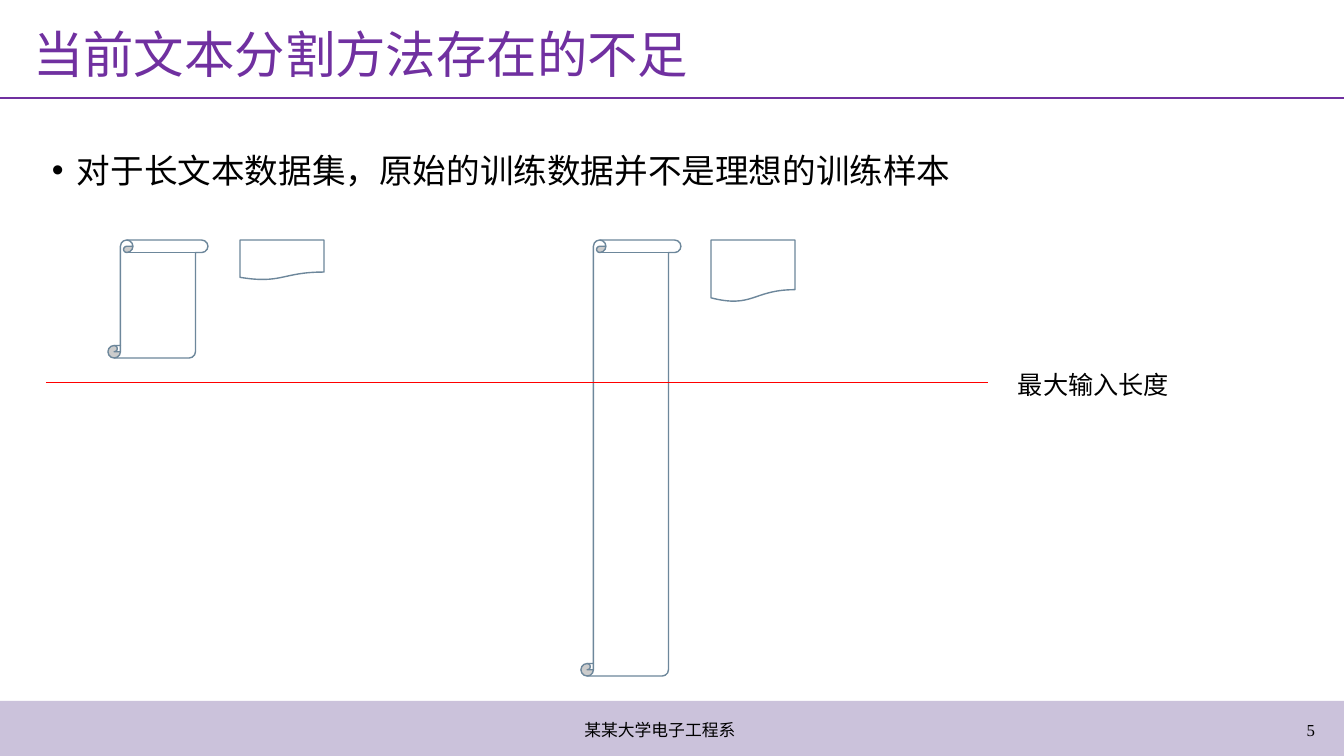
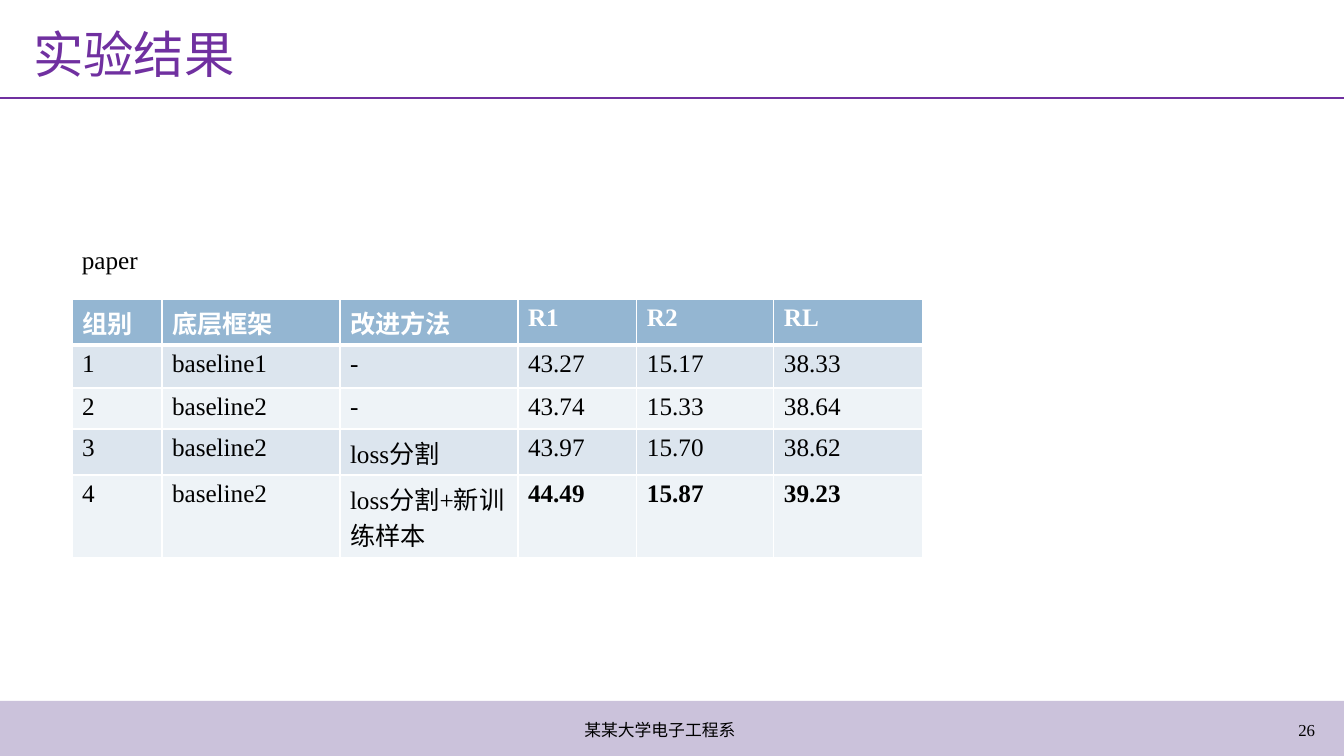
"""Build two slides on text splitting: the problem and the results."""
from lxml import etree
from pptx import Presentation
from pptx.dml.color import RGBColor
from pptx.enum.lang import MSO_LANGUAGE_ID
from pptx.enum.shapes import MSO_CONNECTOR, MSO_SHAPE
from pptx.enum.text import MSO_ANCHOR, PP_ALIGN
from pptx.oxml.ns import qn
from pptx.util import Pt

PX = 914400 / 100.8
WIDTH, HEIGHT = 1344, 756
FONT = "Times New Roman"

PURPLE = RGBColor(0x70, 0x30, 0xA0)
BAND = RGBColor(0x73, 0x5B, 0x9F)
OUTLINE = RGBColor(0x6D, 0x87, 0x9B)
RED = RGBColor(0xFF, 0x00, 0x00)
BLACK = RGBColor(0x00, 0x00, 0x00)
WHITE = RGBColor(0xFF, 0xFF, 0xFF)
HEADER = RGBColor(0x94, 0xB6, 0xD2)
ROW_FILLS = (RGBColor(0xDC, 0xE5, 0xEE), RGBColor(0xEE, 0xF3, 0xF7))

LEFT, CENTER, RIGHT = PP_ALIGN.LEFT, PP_ALIGN.CENTER, PP_ALIGN.RIGHT
TOP, MIDDLE = MSO_ANCHOR.TOP, MSO_ANCHOR.MIDDLE
CHINESE = MSO_LANGUAGE_ID.SIMPLIFIED_CHINESE
RECTANGLE = MSO_SHAPE.RECTANGLE
SCROLL, DOCUMENT = MSO_SHAPE.VERTICAL_SCROLL, MSO_SHAPE.FLOWCHART_DOCUMENT
STRAIGHT = MSO_CONNECTOR.STRAIGHT

FOOTER = "某某大学电子工程系"
PROBLEM = {
    "title": "当前文本分割方法存在的不足",
    "number": "5",
    "point": "对于长文本数据集，原始的训练数据并不是理想的训练样本",
    "limit": "最大输入长度",
}
PAPERS_TOP = 240
PAPERS = [
    (SCROLL, 108, 100, 118),
    (DOCUMENT, 240, 84, 40),
    (SCROLL, 581, 100, 436),
    (DOCUMENT, 711, 84, 62),
]
RESULTS = {
    "title": "实验结果",
    "number": "26",
    "dataset": "paper",
    "rows": [
        ("组别", "底层框架", "改进方法", "R1", "R2", "RL"),
        ("1", "baseline1", "-", "43.27", "15.17", "38.33"),
        ("2", "baseline2", "-", "43.74", "15.33", "38.64"),
        ("3", "baseline2", "loss分割", "43.97", "15.70", "38.62"),
        ("4", "baseline2", "loss分割+新训练样本", "44.49", "15.87", "39.23"),
    ],
}
COLUMN_WIDTHS = (90, 178, 178, 119, 137, 149)
ROW_HEIGHTS = (46, 43, 41, 46, 83)
FIRST_SCORE = 3


def px(*lengths):
    return [round(length * PX) for length in lengths]


def write(holder, text, size=18, color=BLACK, bold=False, align=LEFT,
          anchor=TOP, spacing=None, before=None):
    frame = holder.text_frame
    frame.word_wrap = True
    frame.vertical_anchor = anchor
    paragraph = frame.paragraphs[0]
    paragraph.alignment = align
    if spacing:
        paragraph.line_spacing = spacing
    if before:
        paragraph.space_before = Pt(before)
    run = paragraph.add_run()
    run.text = text
    font = run.font
    font.name, font.size, font.bold = FONT, Pt(size), bold
    font.color.rgb = color
    font.language_id = CHINESE
    return paragraph


def add_text(slide, box, text, **text_format):
    return write(slide.shapes.add_textbox(*px(*box)), text, **text_format)


def add_shape(slide, kind, box, fill, outline=None):
    shape = slide.shapes.add_shape(kind, *px(*box))
    shape.shadow.inherit = False
    shape.fill.solid()
    shape.fill.fore_color.rgb = fill
    if outline:
        shape.line.color.rgb = outline
        shape.line.width = Pt(1)
    else:
        shape.line.fill.background()
    return shape


def add_rule(slide, left, right, y, color, width):
    rule = slide.shapes.add_connector(STRAIGHT, *px(left, y, right, y))
    rule.line.color.rgb = color
    rule.line.width = Pt(width)
    etree.SubElement(rule._element.spPr, qn("a:effectLst"))


def add_bullet(paragraph, indent):
    properties = paragraph._p.get_or_add_pPr()
    properties.set("marL", str(indent))
    properties.set("indent", str(-indent))
    etree.SubElement(properties, qn("a:buFont"), typeface="Arial")
    etree.SubElement(properties, qn("a:buChar"), char="•")


def set_borders(cell, **widths):
    properties = cell._tc.get_or_add_tcPr()
    for position, side in enumerate("LRTB"):
        line = etree.Element(qn(f"a:ln{side}"), w=str(Pt(widths.get(side, 1))))
        fill = etree.SubElement(line, qn("a:solidFill"))
        etree.SubElement(fill, qn("a:srgbClr"), val=str(WHITE))
        properties.insert(position, line)


def add_slide(deck, content):
    slide = deck.slides.add_slide(deck.slide_layouts[5])
    band = add_shape(slide, RECTANGLE, (0, 701, WIDTH, HEIGHT - 701), BAND)
    tint = band._element.spPr.find(".//" + qn("a:srgbClr"))
    etree.SubElement(tint, qn("a:alpha"), val="37000")
    add_rule(slide, 0, WIDTH, 98, PURPLE, 2)
    title = slide.shapes.title
    title.left, title.top, title.width, title.height = px(23, 18, 1276, 79)
    write(title, content["title"], size=36, color=PURPLE, anchor=MIDDLE,
          spacing=0.9)
    add_text(slide, (1252, 710, 73, 40), content["number"], size=12,
             align=RIGHT, anchor=MIDDLE)
    add_text(slide, (558, 710, 204, 40), FOOTER, size=12, align=CENTER,
             anchor=MIDDLE)
    return slide


def add_problem(deck):
    slide = add_slide(deck, PROBLEM)
    point = add_text(slide, (42, 125, 1153, 523), PROBLEM["point"], size=24,
                     spacing=1.5, before=10)
    add_bullet(point, px(25)[0])
    add_text(slide, (1008, 364, 188, 40), PROBLEM["limit"])
    for kind, left, width, height in PAPERS:
        add_shape(slide, kind, (left, PAPERS_TOP, width, height), WHITE, OUTLINE)
    add_rule(slide, 46, 988, 382, RED, 0.5)


def add_results(deck):
    slide = add_slide(deck, RESULTS)
    add_text(slide, (72, 239, 367, 40), RESULTS["dataset"])
    rows = RESULTS["rows"]
    last = len(rows) - 1
    scores = slide.shapes.add_table(
        len(rows), len(COLUMN_WIDTHS),
        *px(72, 299, sum(COLUMN_WIDTHS), sum(ROW_HEIGHTS))).table
    for column, width in zip(scores.columns, px(*COLUMN_WIDTHS)):
        column.width = width
    for row, height in zip(scores.rows, px(*ROW_HEIGHTS)):
        row.height = height
    for r, values in enumerate(rows):
        header = r == 0
        for c, value in enumerate(values):
            cell = scores.cell(r, c)
            cell.fill.solid()
            cell.fill.fore_color.rgb = HEADER if header else ROW_FILLS[(r - 1) % 2]
            write(cell, value, color=WHITE if header else BLACK,
                  bold=header or (r == last and c >= FIRST_SCORE))
            set_borders(cell, T=3 if r == 1 else 1, B=3 if header else 1)


def main():
    deck = Presentation()
    deck.slide_width, deck.slide_height = px(WIDTH, HEIGHT)
    add_problem(deck)
    add_results(deck)
    deck.save("out.pptx")


if __name__ == "__main__":
    main()
